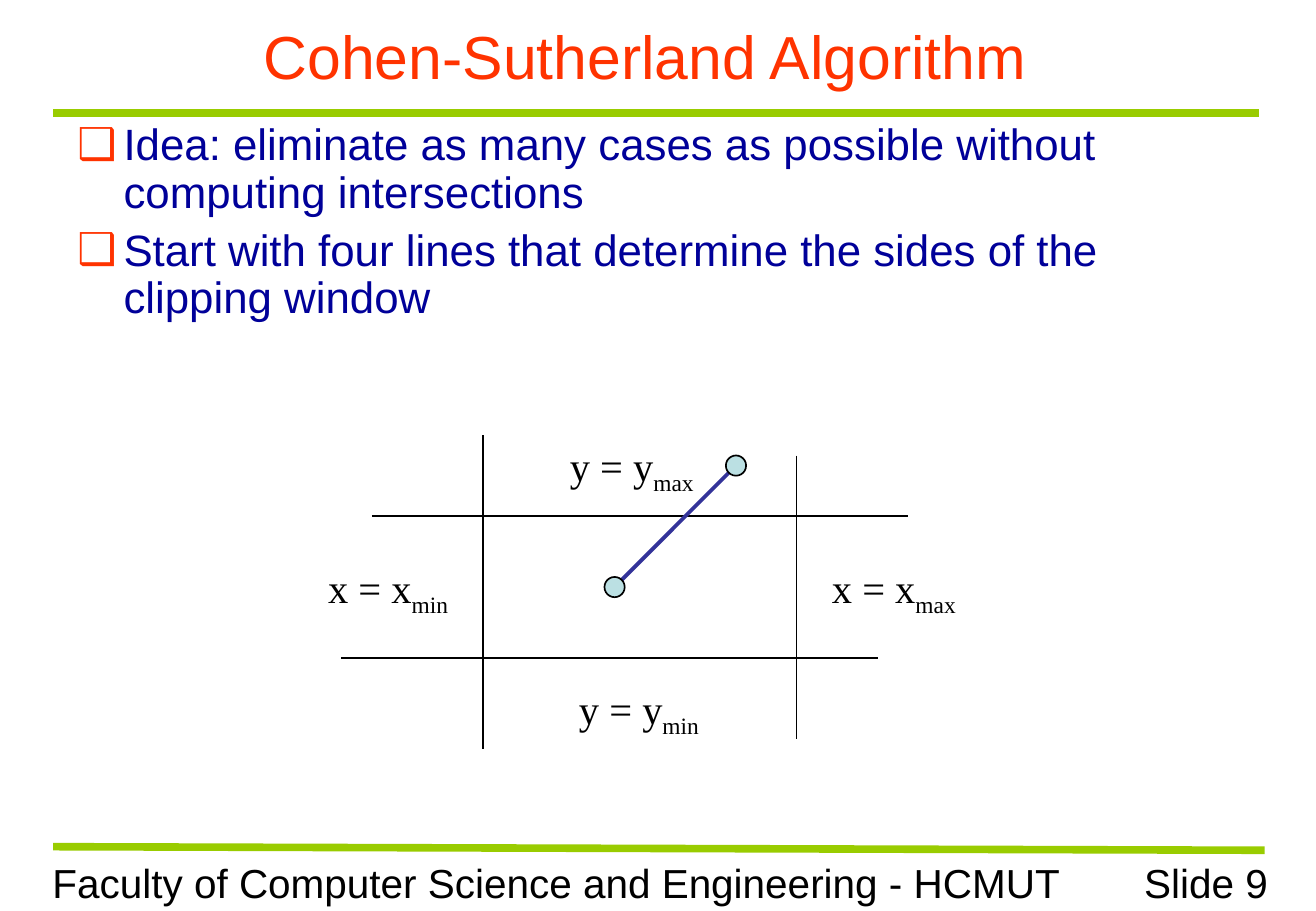
from lxml import etree
from pptx import Presentation
from pptx.dml.color import RGBColor
from pptx.enum.shapes import MSO_CONNECTOR, MSO_SHAPE
from pptx.enum.text import MSO_ANCHOR, MSO_AUTO_SIZE, PP_ALIGN
from pptx.oxml.ns import qn
from pptx.util import Inches, Pt

STRAIGHT = MSO_CONNECTOR.STRAIGHT
ELLIPSE = MSO_SHAPE.OVAL
MIDDLE = MSO_ANCHOR.MIDDLE
FIXED_SIZE = MSO_AUTO_SIZE.NONE
LEFT, CENTER, RIGHT = PP_ALIGN.LEFT, PP_ALIGN.CENTER, PP_ALIGN.RIGHT

BLACK = RGBColor(0x00, 0x00, 0x00)
ORANGE = RGBColor(0xFF, 0x33, 0x00)
NAVY = RGBColor(0x00, 0x00, 0x99)
GREEN = RGBColor(0x99, 0xCC, 0x00)
INDIGO = RGBColor(0x33, 0x33, 0x99)
PALE_BLUE = RGBColor(0xBB, 0xE0, 0xE3)

SANS = "Arial"
SERIF = "Times New Roman"
CELL = Inches(1) // 12


def cells(*counts):
    return [round(count * CELL) for count in counts]


def place(shape, box):
    shape.left, shape.top, shape.width, shape.height = cells(*box)


def add_run(paragraph, text, font_name, size, color):
    run = paragraph.add_run()
    run.text = text
    run.font.name = font_name
    run.font.size = Pt(size)
    run.font.color.rgb = color
    return run


def add_line(shapes, start, end, color, width):
    line = shapes.add_connector(STRAIGHT, *cells(*start, *end))
    line.line.color.rgb = color
    line.line.width = Pt(width)
    etree.SubElement(line._element.spPr, qn("a:effectLst"))


def add_bullet(paragraph, symbol, color):
    properties = paragraph._p.get_or_add_pPr()
    properties.set("marL", str(Inches(0.38)))
    properties.set("indent", str(-Inches(0.38)))
    bullet_color = etree.SubElement(properties, qn("a:buClr"))
    etree.SubElement(bullet_color, qn("a:srgbClr")).set("val", str(color))
    etree.SubElement(properties, qn("a:buChar")).set("char", symbol)


def fill_title(slide, box, text):
    title = slide.shapes.title
    place(title, box)
    frame = title.text_frame
    frame.auto_size = FIXED_SIZE
    frame.vertical_anchor = MIDDLE
    paragraph = frame.paragraphs[0]
    paragraph.alignment = CENTER
    add_run(paragraph, text, SANS, 36, ORANGE)


def fill_body(slide, box, points):
    body = slide.placeholders[1]
    place(body, box)
    frame = body.text_frame
    frame.auto_size = FIXED_SIZE
    for index, point in enumerate(points):
        paragraph = frame.add_paragraph() if index else frame.paragraphs[0]
        add_bullet(paragraph, "❑", ORANGE)
        paragraph.line_spacing = 0.9
        paragraph.space_before = Pt(6.5 if index else 0)
        add_run(paragraph, point, SANS, 26, NAVY)


def add_footer(slide, box, faculty, number):
    left, top, width, height = box
    number_width = 23.9
    parts = [
        (faculty, left, 102.25, LEFT),
        (number, left + width - number_width, number_width, RIGHT),
    ]
    for text, part_left, part_width, alignment in parts:
        text_box = slide.shapes.add_textbox(*cells(part_left, top, part_width, height))
        text_box.text_frame.word_wrap = True
        paragraph = text_box.text_frame.paragraphs[0]
        paragraph.alignment = alignment
        add_run(paragraph, text, SANS, 24, BLACK)


def add_label(shapes, left, top, variable, limit):
    label = shapes.add_textbox(*cells(left, top, 16, 6.7))
    label.text_frame.word_wrap = True
    paragraph = label.text_frame.paragraphs[0]
    paragraph.alignment = LEFT
    add_run(paragraph, f"{variable} = {variable}", SERIF, 24, BLACK)
    subscript = add_run(paragraph, limit, SERIF, 24, BLACK)
    subscript._r.get_or_add_rPr().set("baseline", "-25000")


def add_clipping_diagram(slide, box):
    left, top, width, height = box
    shapes = slide.shapes.add_group_shape().shapes

    def at(column, row):
        return left + column, top + row

    window_sides = [
        ((3, 8), (width, 8)),
        ((45, 2), (45, height - 1)),
        ((14, 0), (14, height)),
        ((0, 22), (width - 3, 22)),
    ]
    for start, end in window_sides:
        add_line(shapes, at(*start), at(*end), BLACK, 1)

    labels = [
        (47.3, 12, "x", "max"),
        (-2.5, 12, "x", "min"),
        (21.4, 0, "y", "max"),
        (22.3, 24, "y", "min"),
    ]
    for column, row, variable, limit in labels:
        add_label(shapes, *at(column, row), variable, limit)

    segment_ends = [(39, 3), (27, 15)]
    add_line(shapes, at(*segment_ends[1]), at(*segment_ends[0]), INDIGO, 2.25)
    for column, row in segment_ends:
        dot = shapes.add_shape(ELLIPSE, *cells(*at(column - 1, row - 1), 2, 2))
        dot.shadow.inherit = False
        dot.fill.solid()
        dot.fill.fore_color.rgb = PALE_BLUE
        dot.line.color.rgb = BLACK
        dot.line.width = Pt(1)


def main():
    presentation = Presentation()
    presentation.slide_width = Inches(10.84)
    presentation.slide_height = Inches(7.5)
    slide = presentation.slides.add_slide(presentation.slide_layouts[1])

    fill_title(slide, (4, 1.25, 119.5, 8.4), "Cohen-Sutherland Algorithm")
    add_line(slide.shapes, (5.25, 11.15), (124.45, 11.15), GREEN, 4.5)
    fill_body(slide, (6.45, 11.55, 117, 22.4), [
        "Idea: eliminate as many cases as possible without computing intersections",
        "Start with four lines that determine the sides of the clipping window",
    ])
    add_clipping_diagram(slide, (33.75, 43, 56, 31))
    add_line(slide.shapes, (5.25, 83.65), (125, 84), GREEN, 4.5)
    add_footer(
        slide,
        (4, 84.2, 122.5, 6),
        "Faculty of Computer Science and Engineering - HCMUT",
        "Slide 9",
    )
    presentation.save("out.pptx")


if __name__ == "__main__":
    main()
